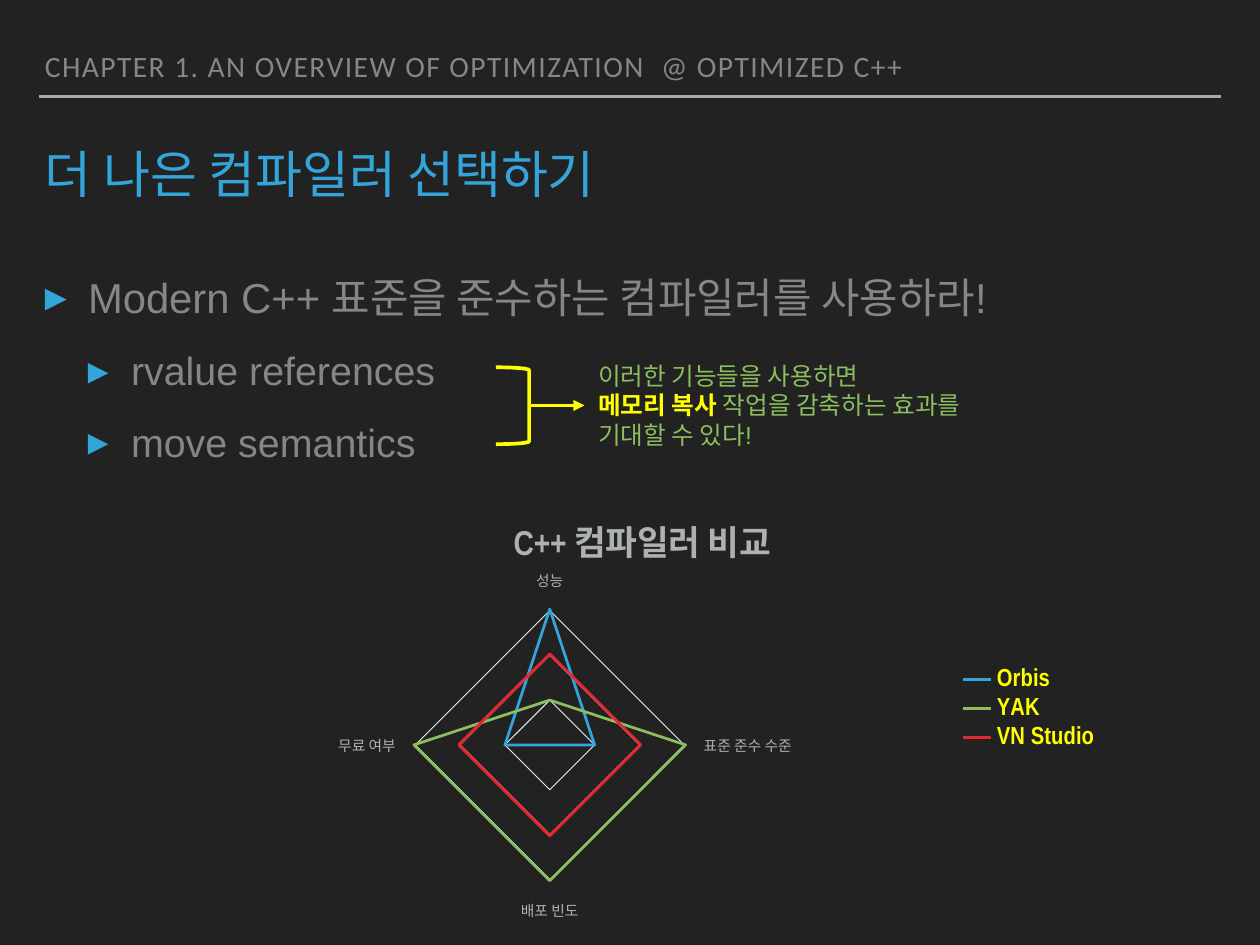
from dataclasses import dataclass

from lxml.etree import SubElement
from pptx import Presentation
from pptx.chart.data import CategoryChartData
from pptx.dml.color import RGBColor
from pptx.enum.chart import XL_CHART_TYPE, XL_LEGEND_POSITION, XL_TICK_LABEL_POSITION, XL_TICK_MARK
from pptx.enum.shapes import MSO_CONNECTOR, MSO_SHAPE
from pptx.enum.text import MSO_ANCHOR, MSO_AUTO_SIZE, PP_ALIGN
from pptx.oxml.ns import qn
from pptx.util import Pt

# Content
HEADER = "CHAPTER 1. AN OVERVIEW OF OPTIMIZATION  @ OPTIMIZED C++"
TITLE = "더 나은 컴파일러 선택하기"
BULLETS = [
    (0, "Modern C++ 표준을 준수하는 컴파일러를 사용하라!"),
    (1, "rvalue references"),
    (1, "move semantics"),
]
NOTE_LINES = [  # (text, emphasised)
    [("이러한 기능들을 사용하면", False)],
    [("메모리 복사 ", True), ("작업을 감축하는 효과를", False)],
    [("기대할 수 있다!", False)],
]
CHART_TITLE = "C++ 컴파일러 비교"
CRITERIA = ["성능", "표준 준수 수준", "배포 빈도", "무료 여부"]
COMPILERS = {
    "Orbis": (100, 33, 0, 33),
    "YAK": (33, 100, 100, 100),
    "VN Studio": (67, 67, 67, 67),
}


@dataclass(frozen=True)
class Theme:
    background: str = "222222"
    rule: str = "A6AAA9"
    text: str = "838787"
    accent: str = "34A5DA"
    note: str = "8ABE5E"
    highlight: str = "FFFF00"
    label: str = "AEB1B1"
    grid: str = "ECEDED"
    series: tuple = ("34A5DA", "8ABE5E", "E42832")
    header_size: float = 24
    title_size: float = 41.4
    bullet_sizes: tuple = (34, 32)
    bullet_gaps: tuple = (28, 20)
    note_size: float = 20
    chart_title_size: float = 28
    legend_size: float = 20
    label_size: float = 12
    body_font: str = "Arial"
    narrow_font: str = "Arial Narrow"
    header_font: str = "Calibri"


THEME = Theme()
MARGIN = 32
INDENT = 35
INSET = 4.5


def style_font(font, name, size, color, bold=False):
    font.name, font.size, font.bold = name, Pt(size), bold
    font.color.rgb = RGBColor.from_string(color)


def add_run(paragraph, text, *style):
    run = paragraph.add_run()
    run.text = text
    style_font(run.font, *style)
    return run


def style_line(line, color, width):
    line.color.rgb = RGBColor.from_string(color)
    line.width = Pt(width)


def place(shape, left, top, width, height, anchor=MSO_ANCHOR.TOP):
    shape.left, shape.top, shape.width, shape.height = map(Pt, (left, top, width, height))
    frame = shape.text_frame
    frame.margin_left = frame.margin_right = frame.margin_top = frame.margin_bottom = Pt(INSET)
    frame.auto_size = MSO_AUTO_SIZE.NONE
    frame.word_wrap = True
    frame.vertical_anchor = anchor
    return frame


def set_bullet(paragraph, level):
    properties = paragraph._p.get_or_add_pPr()
    properties.set("marL", str(Pt(INDENT * (level + 1))))
    properties.set("indent", str(-Pt(INDENT)))
    color = SubElement(properties, qn("a:buClr"))
    SubElement(color, qn("a:srgbClr"), val=THEME.accent)
    SubElement(properties, qn("a:buSzPct"), val="105000")
    SubElement(properties, qn("a:buFont"), typeface=THEME.body_font)
    SubElement(properties, qn("a:buChar"), char="▸")


def remove_bullet(paragraph):
    properties = paragraph._p.get_or_add_pPr()
    properties.set("marL", "0")
    properties.set("indent", "0")
    SubElement(properties, qn("a:buNone"))


def add_line(slide, start, end, color, width):
    connector = slide.shapes.add_connector(MSO_CONNECTOR.STRAIGHT, *map(Pt, start + end))
    style_line(connector.line, color, width)
    SubElement(connector._element.spPr, qn("a:effectLst"))
    return connector


def set_layout(parent, position, **fractions):
    for old_layout in parent.findall(qn("c:layout")):
        parent.remove(old_layout)
    layout = SubElement(parent, qn("c:layout"))
    manual = SubElement(layout, qn("c:manualLayout"))
    if "w" in fractions:
        SubElement(manual, qn("c:layoutTarget"), val="inner")
    for key in ("x", "y"):
        SubElement(manual, qn(f"c:{key}Mode"), val="edge")
    for key, value in fractions.items():
        SubElement(manual, qn(f"c:{key}"), val=str(value))
    parent.insert(position, layout)


def add_header_and_text(slide):
    title, body, header = slide.placeholders

    # Chapter header and rule
    add_line(slide, (MARGIN, 78.5), (992, 78.5), THEME.rule, 2)
    paragraph = place(header, MARGIN, 40, 880, 32, MSO_ANCHOR.BOTTOM).paragraphs[0]
    paragraph.line_spacing = 0.8
    paragraph.space_before = Pt(0)
    remove_bullet(paragraph)
    run = add_run(paragraph, HEADER, THEME.header_font, THEME.header_size, THEME.text)
    run.font._element.set("spc", "120")

    # Title
    paragraph = place(title, MARGIN, 121, 960, 57).paragraphs[0]
    paragraph.alignment = PP_ALIGN.LEFT
    paragraph.line_spacing = 0.8
    add_run(paragraph, TITLE, THEME.narrow_font, THEME.title_size, THEME.accent)

    # Bullet list
    frame = place(body, MARGIN, 216, 960, 481)
    for index, (level, text) in enumerate(BULLETS):
        paragraph = frame.add_paragraph() if index else frame.paragraphs[0]
        paragraph.level = level
        paragraph.space_before = Pt(THEME.bullet_gaps[level])
        set_bullet(paragraph, level)
        add_run(paragraph, text, THEME.body_font, THEME.bullet_sizes[level], THEME.text)


def add_note(slide):
    # Bracket and arrow
    bracket = slide.shapes.add_shape(MSO_SHAPE.RIGHT_BRACKET, Pt(403), Pt(298.5), Pt(27), Pt(62.5))
    bracket.shadow.inherit = False
    bracket.fill.background()
    style_line(bracket.line, THEME.highlight, 3)
    arrow = add_line(slide, (430, 329.5), (475, 329.5), THEME.highlight, 3)
    SubElement(arrow.line._get_or_add_ln(), qn("a:tailEnd"), type="triangle")

    # Explanation
    frame = slide.shapes.add_textbox(Pt(479), Pt(289.5), Pt(344), Pt(80)).text_frame
    frame.word_wrap = False
    for index, pieces in enumerate(NOTE_LINES):
        paragraph = frame.add_paragraph() if index else frame.paragraphs[0]
        for text, emphasised in pieces:
            color = THEME.highlight if emphasised else THEME.note
            add_run(paragraph, text, THEME.body_font, THEME.note_size, color, emphasised)


def add_comparison_chart(slide):
    data = CategoryChartData()
    data.categories = CRITERIA
    for name, scores in COMPILERS.items():
        data.add_series(name, scores)
    chart = slide.shapes.add_chart(
        XL_CHART_TYPE.RADAR, Pt(137), Pt(392), Pt(765), Pt(368), data).chart
    style_font(chart.font, THEME.narrow_font, THEME.label_size, THEME.label)

    # Title, plot and legend
    add_run(chart.chart_title.text_frame.paragraphs[0], CHART_TITLE,
            THEME.narrow_font, THEME.chart_title_size, THEME.label, True)
    set_layout(chart.chart_title._element, 1, x=0.36, y=0.05)
    set_layout(chart._chartSpace.chart.plotArea, 0, x=0.26, y=0.28, w=0.29, h=0.6)
    chart.has_legend = True
    chart.legend.position = XL_LEGEND_POSITION.RIGHT
    chart.legend.include_in_layout = False
    style_font(chart.legend.font, THEME.narrow_font, THEME.legend_size, THEME.highlight, True)

    # Axes
    criteria, scores = chart.category_axis, chart.value_axis
    criteria.has_major_gridlines = False
    style_line(criteria.format.line, THEME.grid, 0.75)
    scores.minimum_scale, scores.maximum_scale, scores.major_unit = 0, 100, 33
    scores.tick_label_position = XL_TICK_LABEL_POSITION.NONE
    scores.format.line.fill.background()
    style_line(scores.major_gridlines.format.line, THEME.grid, 0.75)
    for axis in (criteria, scores):
        axis.major_tick_mark = axis.minor_tick_mark = XL_TICK_MARK.NONE

    # Series
    chart.plots[0].vary_by_categories = False
    for series, color in zip(chart.plots[0].series, THEME.series):
        series.smooth = False
        style_line(series.format.line, color, 2.25)


def main():
    presentation = Presentation()
    presentation.slide_width, presentation.slide_height = Pt(1024), Pt(768)
    slide = presentation.slides.add_slide(presentation.slide_layouts[3])
    slide.background.fill.solid()
    slide.background.fill.fore_color.rgb = RGBColor.from_string(THEME.background)
    add_header_and_text(slide)
    add_note(slide)
    add_comparison_chart(slide)
    presentation.save("out.pptx")


if __name__ == "__main__":
    main()
